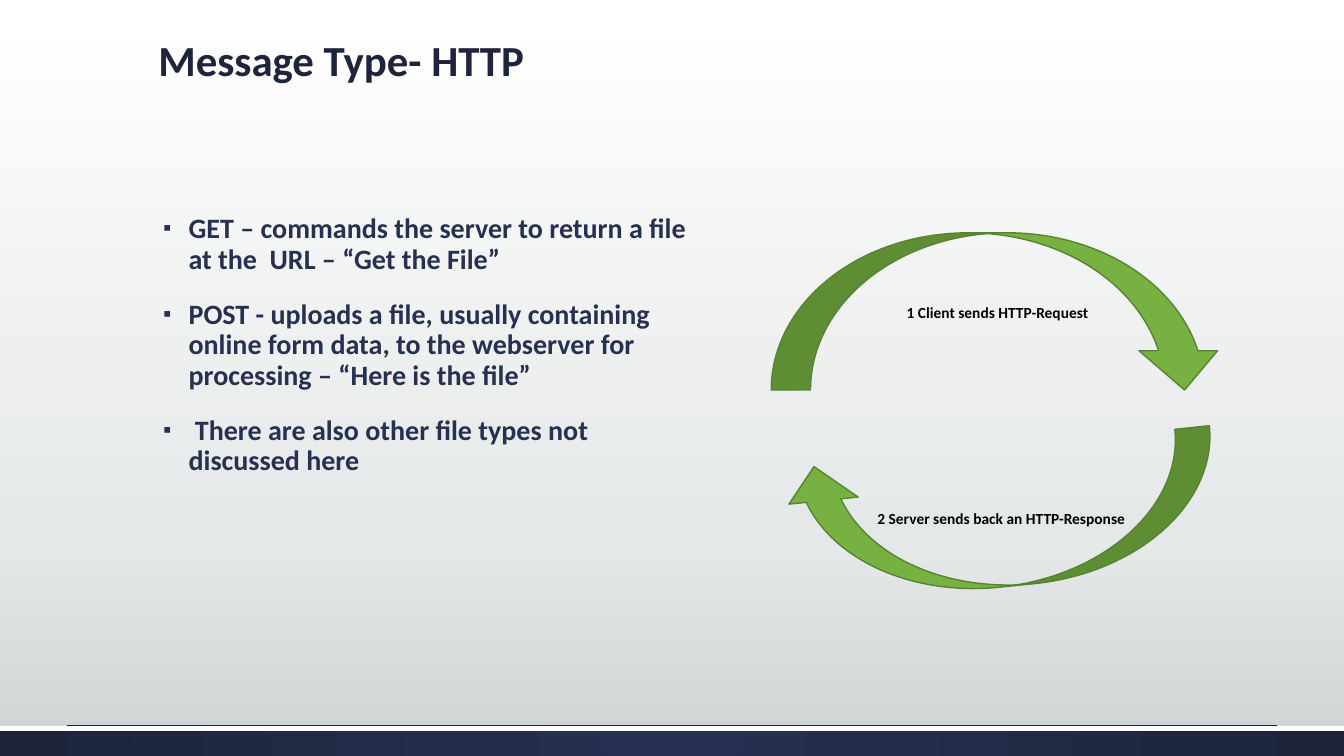
from copy import deepcopy
from lxml.etree import SubElement as Sub
from pptx import Presentation
from pptx.dml.color import RGBColor as RGB
from pptx.enum.shapes import MSO_CONNECTOR as Con, MSO_SHAPE as Kind
from pptx.enum.text import MSO_ANCHOR as Anchor, MSO_AUTO_SIZE as Fit, PP_ALIGN as Align
from pptx.oxml.ns import qn
from pptx.util import Inches, Pt

HUE = {"navy": "263050", "dark": "1D243C", "green": "77B142", "edge": "588331",
       "white": "FFFFFF", "mist": "E5E8E8", "grey": "CDD2D2", "black": "000000"}
WIDE, HIGH = Inches(13.33), Inches(7.5)
FONT = "Calibri"
ITEMS = ["GET – commands the server to return a file at the  URL – “Get the File”",
         "POST - uploads a file, usually containing online form data, "
         "to the webserver for processing – “Here is the file”",
         " There are also other file types not discussed here"]
STEPS = [("1 Client sends HTTP-Request", (57.38, 30.8, 33.68, 20.8), 0),
         ("2 Server sends back an HTTP-Response", (58.43, 59.2, 32.17, 18.4), 174.1)]


def tone(name):
    """Return the named colour."""
    return RGB.from_string(HUE[name])


def span(x, y, w, h):
    """Turn percentages of the slide into lengths."""
    return [int(side * part / 100) for side, part in zip((WIDE, HIGH, WIDE, HIGH), (x, y, w, h))]


def move(shape, box):
    """Place a shape in a box."""
    shape.left, shape.top, shape.width, shape.height = span(*box)


def write(para, text, size, hue):
    """Add one bold run to a paragraph."""
    run = para.add_run()
    run.text = text
    font = run.font
    font.name, font.size, font.bold = FONT, Pt(size), True
    font.color.rgb = tone(hue)


def blend(fill, root, stops):
    """Fill with a gradient of the given stops."""
    fill.gradient()
    marks = root.find(".//" + qn("a:gsLst"))
    for _ in stops[2:]:
        marks.append(deepcopy(marks[-1]))
    for mark, (place, hue) in zip(fill.gradient_stops, stops):
        mark.position, mark.color.rgb = place, tone(hue)


def ground(slide):
    """Shade the slide from top to bottom."""
    fill = slide.background.fill
    blend(fill, slide.element, [(0, "white"), (0.72, "mist"), (1, "grey")])
    fill.gradient_angle = 270


def block(slide, kind, box):
    """Add a shape without shadow."""
    shape = slide.shapes.add_shape(kind, *span(*box))
    shape.shadow.inherit = False
    return shape


def foot(slide, box):
    """Draw the band, strip and rule at the foot."""
    x, y, w, h = box
    band = block(slide, Kind.RECTANGLE, box)
    blend(band.fill, band.element, [(0, "navy"), (1, "dark")])
    grad = band.element.find(".//" + qn("a:gradFill"))
    grad.remove(grad.find(qn("a:lin")))
    glow = Sub(grad, qn("a:path"), path="circle")
    Sub(glow, qn("a:fillToRect"), l="50000", t="50000", r="50000", b="50000")
    strip = block(slide, Kind.RECTANGLE, (x, y, w, h / 6))
    strip.fill.solid()
    strip.fill.fore_color.rgb = tone("white")
    for part in (band, strip):
        part.line.fill.background()
    left, top, wide, _ = span(x + w / 20, y - 0.1, w * 0.9, 0)
    rule = slide.shapes.add_connector(Con.STRAIGHT, left, top, left + wide, top)
    rule.line.color.rgb, rule.line.width = tone("dark"), Pt(0.5)
    Sub(rule.element.spPr, qn("a:effectLst"))


def head(slide, box):
    """Set the title."""
    title = slide.shapes.title
    move(title, box)
    frame = title.text_frame
    frame.vertical_anchor, frame.auto_size = Anchor.TOP, Fit.NONE
    para = frame.paragraphs[0]
    para.alignment, para.line_spacing = Align.LEFT, 0.9
    write(para, "Message Type- HTTP", 30.6, "dark")


def dot(para):
    """Give a paragraph a small square bullet."""
    prop = para._p.get_or_add_pPr()
    prop.set("marL", str(Inches(0.3)))
    prop.set("indent", str(Inches(-0.25)))
    Sub(Sub(prop, qn("a:buClr")), qn("a:srgbClr"), val=HUE["navy"])
    Sub(prop, qn("a:buSzPct"), val="80000")
    Sub(prop, qn("a:buFont"), typeface=FONT)
    Sub(prop, qn("a:buChar"), char="▪")


def points(slide, box):
    """Set the bulleted list."""
    body = slide.placeholders[1]
    move(body, box)
    frame = body.text_frame
    frame.auto_size = Fit.NONE
    for i, item in enumerate(ITEMS):
        para = frame.add_paragraph() if i else frame.paragraphs[0]
        dot(para)
        para.line_spacing, para.space_before = 0.9, Pt(18 if i else 0)
        write(para, item, 20, "navy")


def step(slide, text, box, turn):
    """Draw a curved arrow with an upright label in its middle."""
    arrow = block(slide, Kind.CURVED_DOWN_ARROW, box)
    arrow.rotation = turn
    arrow.fill.solid()
    arrow.fill.fore_color.rgb = tone("green")
    arrow.line.color.rgb, arrow.line.width = tone("edge"), Pt(1)
    frame = slide.shapes.add_textbox(*span(*box)).text_frame
    frame.word_wrap, frame.vertical_anchor = True, Anchor.MIDDLE
    para = frame.paragraphs[0]
    para.alignment, para.line_spacing = Align.CENTER, 1.15
    write(para, text, 11, "black")


def main():
    """Build and save the slide."""
    deck = Presentation()
    deck.slide_width, deck.slide_height = WIDE, HIGH
    slide = deck.slides.add_slide(deck.slide_layouts[1])
    ground(slide)
    foot(slide, (0, 96, 100, 4))
    head(slide, (11.03, 4.5, 78, 18))
    points(slide, (11.03, 27.73, 40.8, 60))
    for text, box, turn in STEPS:
        step(slide, text, box, turn)
    deck.save("out.pptx")


if __name__ == "__main__":
    main()
